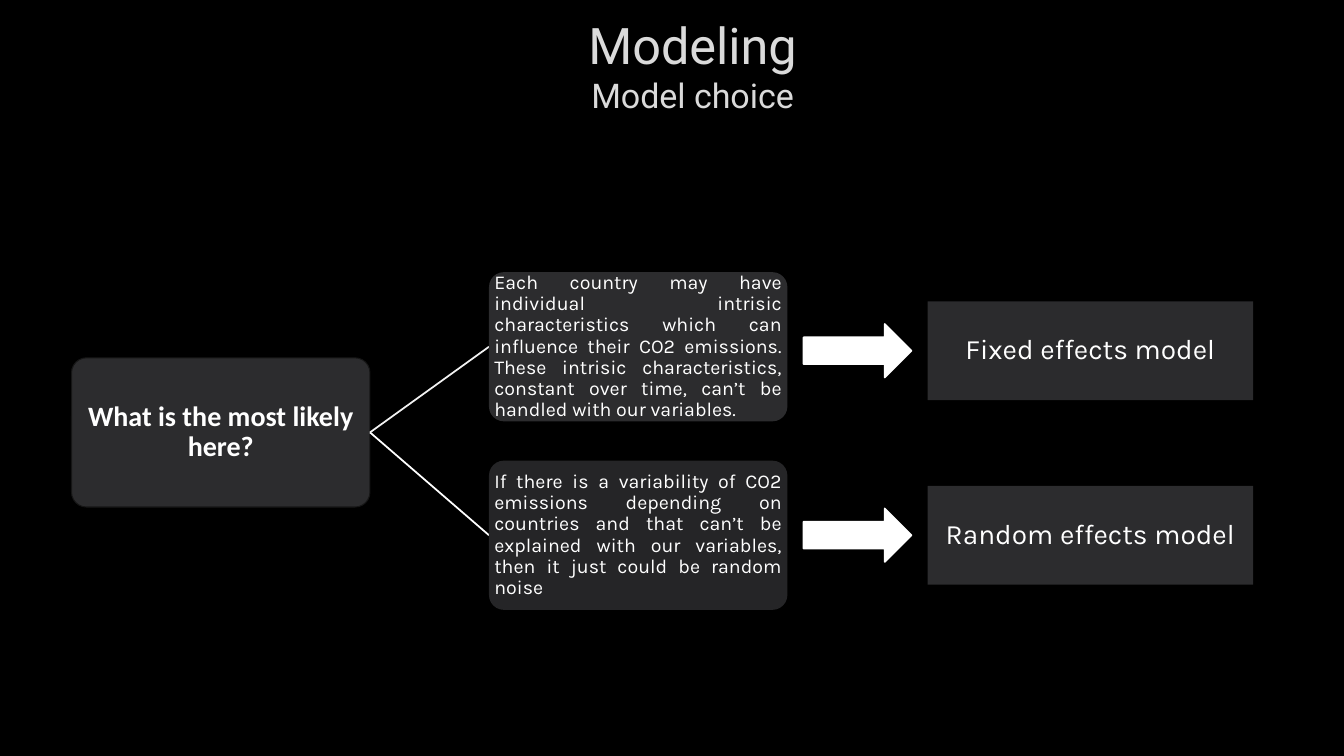
from pptx import Presentation
from pptx.dml.color import RGBColor
from pptx.enum.shapes import MSO_CONNECTOR as Link, MSO_SHAPE as Kind
from pptx.enum.text import MSO_ANCHOR as Anchor, PP_ALIGN as Align
from pptx.oxml.ns import qn
from pptx.util import Inches, Pt

# Content
HEAD = [("Modeling", 36), ("Model choice", 24.3)]
ASK = "What is the most likely here?"
# Each row: reason, its top, fill, link colour, model, its top, fill
ROWS = [
    ("Each country may have individual intrisic characteristics which can "
     "influence their CO2 emissions. These intrisic characteristics, constant "
     "over time, can’t be handled with our variables.",
     2.7, "card", "pale", "Fixed effects model", 2.99, "dim"),
    ("If there is a variability of CO2 emissions depending on countries and "
     "that can’t be explained with our variables, then it just could be "
     "random noise",
     4.57, "dark", "white", "Random effects model", 4.82, "card"),
]
HEX = {"back": "000000", "head": "DADADA", "card": "2C2C2E", "dim": "2B2B2D",
       "dark": "252527", "edge": "161616", "pale": "F2F2F2", "white": "FFFFFF"}

# Layout in inches
CARD_W, CARD_H = 2.96, 1.48
ASK_X, ASK_Y = 0.71, 3.55
WHY_X = 4.85
ARROW_X, ARROW_W, ARROW_H = 7.97, 1.07, 0.53
MODEL_X, MODEL_W, MODEL_H = 9.2, 3.23, 0.98


def tint(name):
    return RGBColor.from_string(HEX[name])


def add_run(para, text, size, face, color, bold=False):
    run = para.add_run()
    run.text = text
    font = run.font
    font.size, font.name, font.bold = Pt(size), face, bold
    font.color.rgb = tint(color)


def add_box(kind, x, y, w, h, fill, edge=None, width=0.75):
    box = slide.shapes.add_shape(kind, *map(Inches, (x, y, w, h)))
    box.shadow.inherit = False
    box.fill.solid()
    box.fill.fore_color.rgb = tint(fill)
    if edge:
        box.line.color.rgb = tint(edge)
        box.line.width = Pt(width)
    else:
        box.line.fill.background()
    if kind == Kind.ROUNDED_RECTANGLE:
        box.adjustments[0] = 0.1
    return box


def set_text(box, text, size, face="Karla", align=Align.CENTER, bold=False):
    frame = box.text_frame
    frame.word_wrap = True
    frame.vertical_anchor = Anchor.MIDDLE
    frame.margin_left = frame.margin_right = Inches(0.01)
    frame.margin_top = frame.margin_bottom = Inches(0.01)
    para = frame.paragraphs[0]
    para.alignment, para.line_spacing = align, 0.9
    add_run(para, text, size, face, "white", bold)


def add_link(x1, y1, x2, y2, color):
    link = slide.shapes.add_connector(
        Link.STRAIGHT, *map(Inches, (x1, y1, x2, y2)))
    link.line.color.rgb = tint(color)
    link.line.width = Pt(1.25)
    props = link.element.spPr
    props.append(props.makeelement(qn("a:effectLst"), {}))


prs = Presentation()
prs.slide_width, prs.slide_height = Inches(13.33), Inches(7.5)
slide = prs.slides.add_slide(prs.slide_layouts[6])
slide.background.fill.solid()
slide.background.fill.fore_color.rgb = tint("back")

# Title
title = slide.shapes.add_textbox(*map(Inches, (3.45, 0.11, 6.84, 1.06)))
title.text_frame.word_wrap = True
title.text_frame.vertical_anchor = Anchor.MIDDLE
line = title.text_frame.paragraphs[0]
line.alignment = Align.CENTER
for i, (text, size) in enumerate(HEAD):
    if i:
        line.add_line_break()
    add_run(line, text, size, "Roboto", "head")

# Question
card = add_box(Kind.ROUNDED_RECTANGLE, ASK_X, ASK_Y, CARD_W, CARD_H,
               "card", "edge")
set_text(card, ASK, 20, "Calibri", bold=True)

# Branches: link, reason, arrow, model
for why, why_y, fill, link, model, model_y, shade in ROWS:
    add_link(ASK_X + CARD_W, ASK_Y + CARD_H / 2,
             WHY_X, why_y + CARD_H / 2, link)
    card = add_box(Kind.ROUNDED_RECTANGLE, WHY_X, why_y, CARD_W, CARD_H, fill)
    set_text(card, why, 14, align=Align.JUSTIFY)
    mid = model_y + MODEL_H / 2
    add_box(Kind.RIGHT_ARROW, ARROW_X, mid - ARROW_H / 2, ARROW_W, ARROW_H,
            "white", "white", 1.25)
    card = add_box(Kind.RECTANGLE, MODEL_X, model_y, MODEL_W, MODEL_H, shade)
    set_text(card, model, 20)

prs.save("out.pptx")
